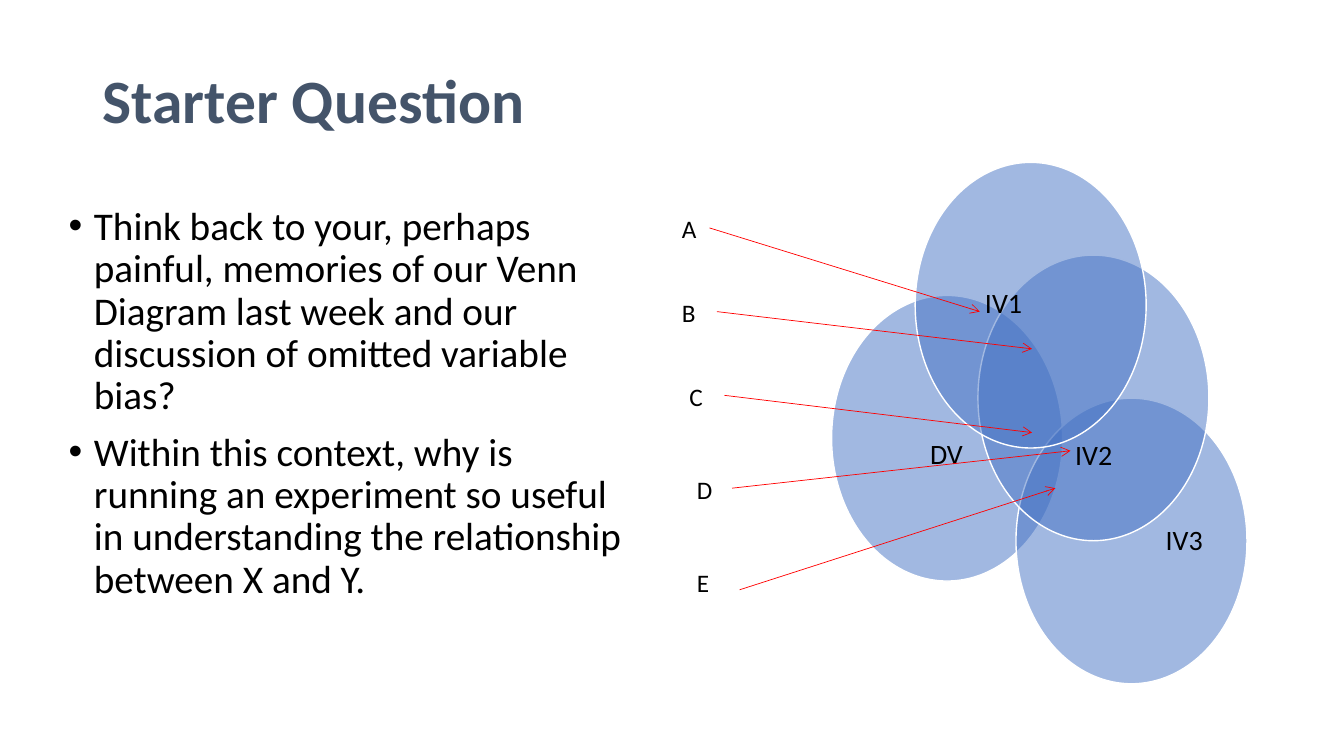
from lxml.etree import SubElement
from pptx import Presentation
from pptx.dml.color import RGBColor
from pptx.enum.shapes import MSO_CONNECTOR, MSO_SHAPE
from pptx.enum.text import MSO_ANCHOR as Anchor, PP_ALIGN as Align
from pptx.oxml.ns import qn
from pptx.util import Pt

FONT = "Calibri"
BLACK, WHITE, SLATE, BLUE, RED = "000000", "FFFFFF", "44546A", "4472C4", "FF0000"
CIRCLE_SIZE = (165, 204)

QUESTIONS = [
    "Think back to your, perhaps painful, memories of our Venn Diagram last week "
    "and our discussion of omitted variable bias?",
    "Within this context, why is running an experiment so useful in understanding "
    "the relationship between X and Y.",
]
# Positions are relative to the diagram's box; each label box is relative to its circle.
CIRCLES = [
    ("DV", (114, 95), (18.7, 81.5, 126.7, 65), Align.CENTER),
    ("IV3", (245.7, 168.4), (88.5, 23.8, 63.4, 157), Align.CENTER),
    ("IV2", (218.5, 66.2), (19.4, 111.6, 126.7, 65), Align.CENTER),
    ("IV1", (173.7, 0), (13, 23.1, 63.4, 157), Align.RIGHT),
]
# Letter, its corner, arrow start, arrow end
REGIONS = [
    ("A", (0, 33), (26.8, 46.8), (219.9, 106.6)),
    ("B", (0, 92.8), (32.1, 106.6), (257.2, 133.2)),
    ("C", (5.4, 152.6), (37.5, 166.4), (257.2, 193)),
    ("D", (10.7, 219.1), (42.9, 232.7), (284.7, 206)),
    ("E", (10.7, 285.6), (48.3, 305.3), (273.9, 232.7)),
]


def color(hex_string):
    return RGBColor.from_string(hex_string)


def points(*lengths):
    return [Pt(length) for length in lengths]


def add_run(paragraph, text, size, hue=BLACK, bold=False):
    run = paragraph.add_run()
    run.text = text
    run.font.name = FONT
    run.font.size = Pt(size)
    run.font.bold = bold
    run.font.color.rgb = color(hue)


def add_textbox(slide, box):
    frame = slide.shapes.add_textbox(*points(*box)).text_frame
    frame.word_wrap = True
    return frame


def add_title(slide, box):
    title = slide.shapes.title
    title.left, title.top, title.width, title.height = points(*box)
    frame = title.text_frame
    frame.vertical_anchor = Anchor.MIDDLE
    heading = frame.paragraphs[0]
    heading.alignment = Align.LEFT
    heading.line_spacing = 0.9
    add_run(heading, "Starter Question", 44, SLATE, bold=True)


def add_questions(slide, box):
    frame = add_textbox(slide, box)
    for index, question in enumerate(QUESTIONS):
        paragraph = frame.add_paragraph() if index else frame.paragraphs[0]
        paragraph.line_spacing = 0.9
        paragraph.space_before = Pt(10)
        properties = paragraph._p.get_or_add_pPr()
        properties.set("marL", str(Pt(18)))
        properties.set("indent", str(-Pt(18)))
        SubElement(properties, qn("a:buFont")).set("typeface", "Arial")
        SubElement(properties, qn("a:buChar")).set("char", "•")
        add_run(paragraph, question, 28)


def add_circle(slide, left, top):
    circle = slide.shapes.add_shape(
        MSO_SHAPE.OVAL, *points(left, top, *CIRCLE_SIZE))
    circle.shadow.inherit = False
    circle.fill.solid()
    circle.fill.fore_color.rgb = color(BLUE)
    fill_color = circle._element.spPr.find(qn("a:solidFill"))[0]
    SubElement(fill_color, qn("a:alpha")).set("val", "50000")
    circle.line.color.rgb = color(WHITE)
    circle.line.width = Pt(1)


def add_circle_label(slide, name, box, alignment):
    frame = add_textbox(slide, box)
    frame.margin_left = frame.margin_top = 0
    frame.margin_right = frame.margin_bottom = 0
    frame.vertical_anchor = Anchor.MIDDLE
    label = frame.paragraphs[0]
    label.alignment = alignment
    label.line_spacing = 0.9
    add_run(label, name, 20)


def add_arrow(slide, start, end):
    arrow = slide.shapes.add_connector(
        MSO_CONNECTOR.STRAIGHT, *points(*start, *end))
    arrow.line.color.rgb = color(RED)
    arrow.line.width = Pt(0.5)
    SubElement(arrow.line._get_or_add_ln(), qn("a:tailEnd")).set("type", "arrow")
    SubElement(arrow._element.spPr, qn("a:effectLst"))


def add_venn(slide, left, top):
    """Draw the overlapping circles and the lettered arrows into their regions."""
    def place(offset):
        return left + offset[0], top + offset[1]

    for name, corner, (dx, dy, width, height), alignment in CIRCLES:
        x, y = place(corner)
        add_circle(slide, x, y)
        add_circle_label(slide, name, (x + dx, y + dy, width, height), alignment)
    for letter, corner, start, end in REGIONS:
        frame = add_textbox(slide, (*place(corner), 21.6, 50))
        add_run(frame.paragraphs[0], letter, 18)
        add_arrow(slide, place(start), place(end))


def main():
    deck = Presentation()
    deck.slide_width, deck.slide_height = points(960, 540)
    slide = deck.slides.add_slide(deck.slide_layouts[5])
    add_title(slide, (66, 21.6, 828, 104.4))
    add_questions(slide, (42, 144, 420, 354))
    add_venn(slide, 480, 116)
    deck.save("out.pptx")


if __name__ == "__main__":
    main()
